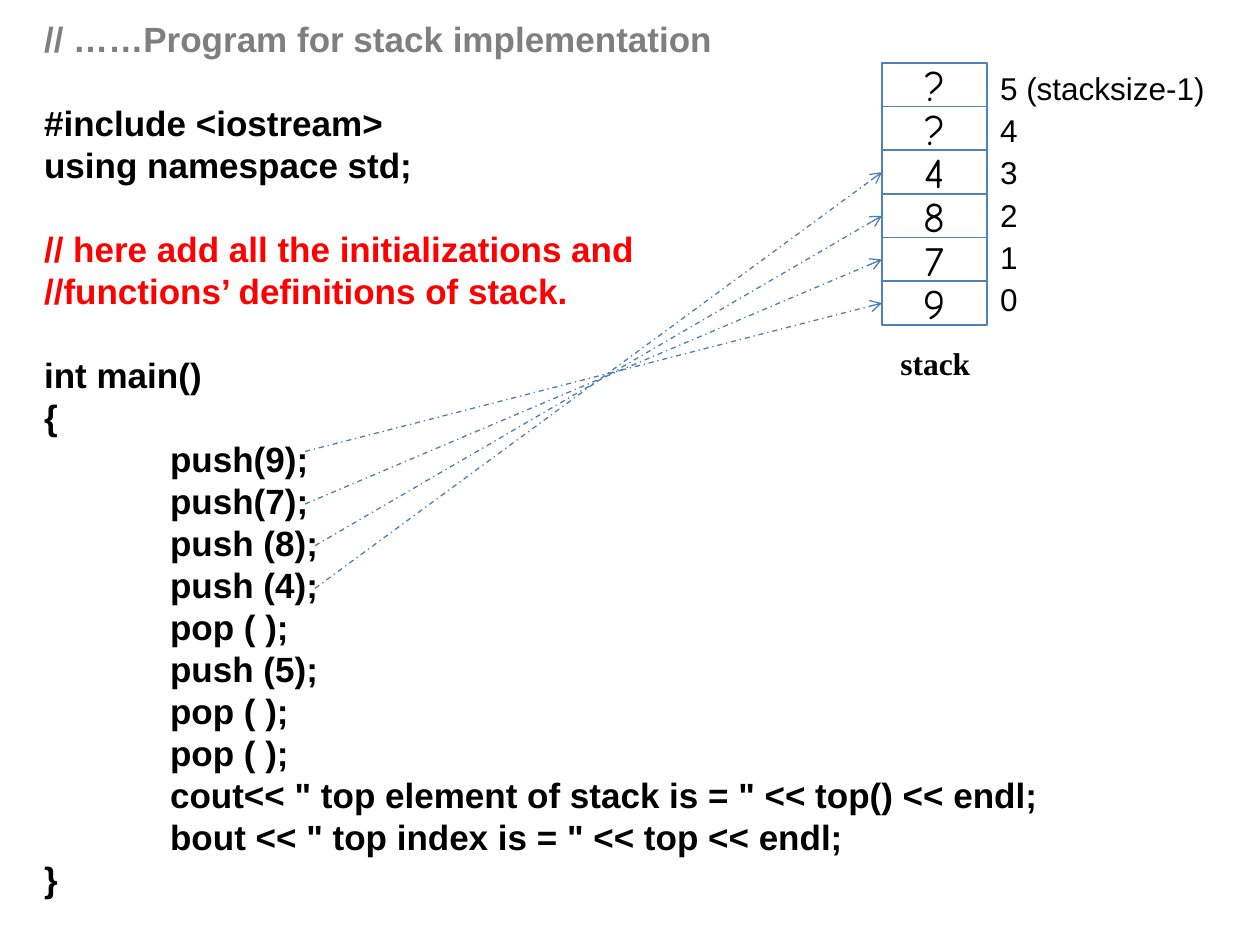
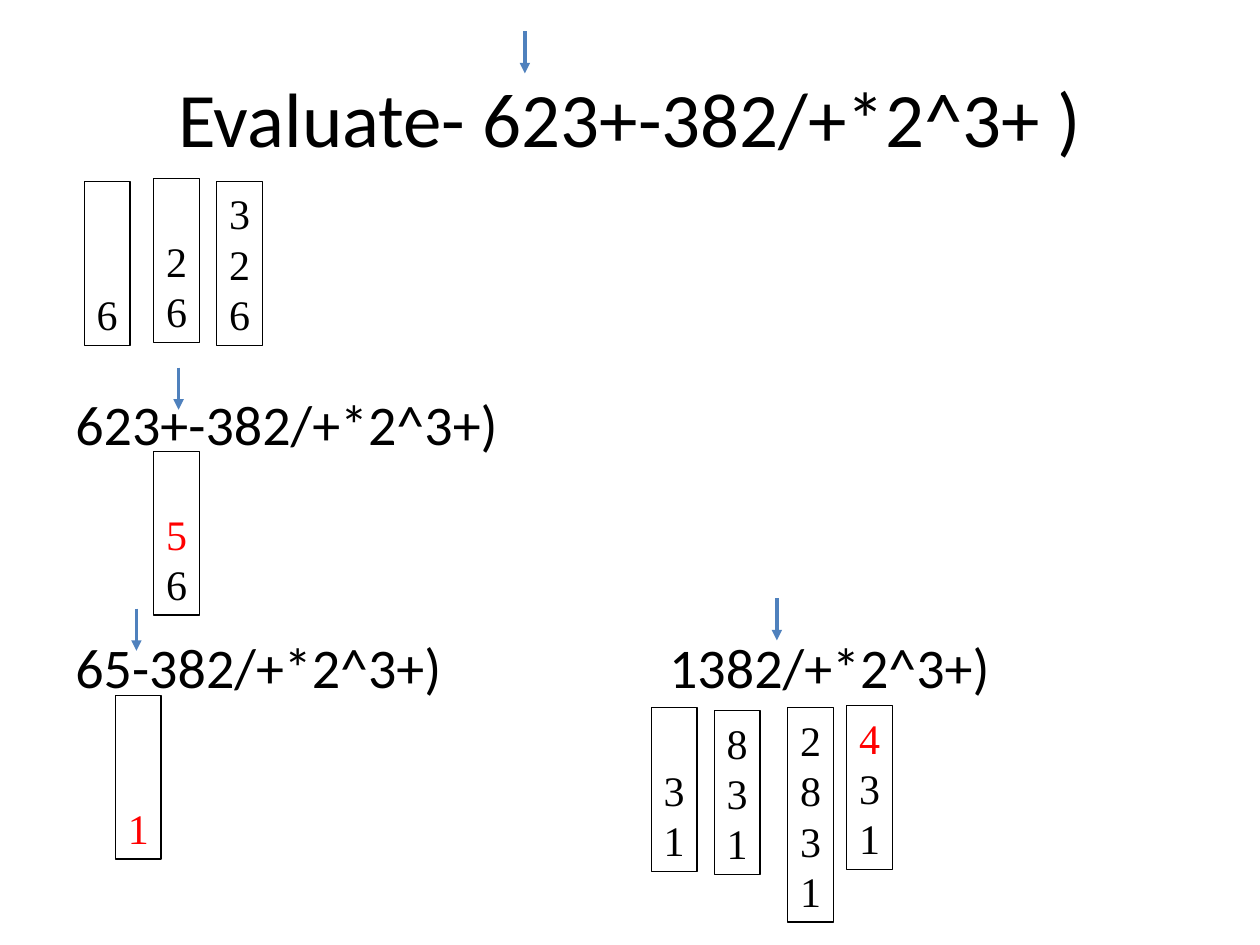
"""Build two slides: a stack program with its trace, and a postfix evaluation."""
from typing import NamedTuple

from lxml.etree import SubElement
from pptx import Presentation
from pptx.dml.color import RGBColor
from pptx.enum.dml import MSO_LINE_DASH_STYLE as DASH
from pptx.enum.shapes import MSO_CONNECTOR as CONN, MSO_SHAPE as SHAPE
from pptx.enum.text import MSO_ANCHOR as ANCHOR, PP_ALIGN as ALIGN
from pptx.oxml.ns import qn
from pptx.util import Cm, Pt

COLORS = {
    "text": "000000", "comment": "7F7F7F", "accent": "FF0000",
    "cell": "FFFFFF", "edge": "4F81BD", "trace": "4A7EBB",
}
LEADING = 1.2


class Style(NamedTuple):
    font: str
    size: int
    bold: bool = False


class Line(NamedTuple):
    text: str
    color: str = "text"
    before: float = 0
    indent: float = 0


class Box(NamedTuple):
    x: float
    y: float
    w: float
    h: float


class Arrow(NamedTuple):
    x1: float
    y1: float
    x2: float
    y2: float


class Stack(NamedTuple):
    x: float
    y: float
    values: str
    has_result: bool = False
    h: float = 3.3


CODE = Style("Arial", 20, True)
INDEX = Style("Arial", 18)
CAPTION = Style("Times New Roman", 18, True)
CELL = Style("Comic Neue", 24)
TITLE = Style("Calibri", 44)
BODY = Style("Calibri", 32)
VALUE = Style("Times New Roman", 24)

GAP = CODE.size * LEADING
STATEMENTS = [
    "push(9);", "push(7);", "push (8);", "push (4);", "pop ( );",
    "push (5);", "pop ( );", "pop ( );",
    'cout<< " top element of stack is = " << top() << endl;',
    'bout << " top index is = " << top << endl;',
]
PROGRAM = [
    Line("// ……Program for stack implementation", "comment"),
    Line("#include <iostream>", before=GAP),
    Line("using namespace std;"),
    Line("// here add all the initializations and", "accent", GAP),
    Line("//functions’ definitions of stack.", "accent"),
    Line("int main()", before=GAP),
    Line("{"),
    *(Line(statement, indent=2.54) for statement in STATEMENTS),
    Line("}"),
]

CELL_VALUES = "??4879"
CELL_X, CELL_Y, CELL_W, CELL_H = 17.78, 1.27, 2.12, 0.88
INDEX_X, INDEX_W, INDEX_STEP = 19.91, 5.2, 0.85
PUSH_ENDS = [(6.15, 9.1), (6.15, 10.16), (6.35, 11), (6.35, 11.86)]

STACKS = [
    Stack(1.7, 3.66, "6"), Stack(3.1, 3.6, "26"), Stack(4.37, 3.66, "326"),
    Stack(3.1, 9.1, "56", True), Stack(2.33, 14.02, "1", True),
    Stack(13.13, 14.27, "31"), Stack(14.4, 14.33, "831"),
    Stack(15.88, 14.27, "2831", h=4.32), Stack(17.07, 14.23, "431", True),
]
STACK_W = 0.92
POINTERS = [(10.58, 0.63), (3.6, 7.41), (2.75, 12.27), (15.66, 12.06)]
POINTER_LENGTH = 0.85
TAB_X = 11.97


def color(name: str) -> RGBColor:
    """Return the named colour."""
    return RGBColor.from_string(COLORS[name])


def write(tf, lines: list[Line], style: Style, align=ALIGN.LEFT,
          anchor=ANCHOR.TOP, wrap: bool = True) -> None:
    """Fill a text frame with one paragraph for each line."""
    tf.word_wrap = wrap
    tf.vertical_anchor = anchor
    for i, line in enumerate(lines):
        p = tf.add_paragraph() if i else tf.paragraphs[0]
        p.alignment = align
        p.line_spacing = Pt(style.size * LEADING)
        p.space_before = Pt(line.before)
        if line.indent:
            p._p.get_or_add_pPr().set("marL", str(Cm(line.indent)))
        r = p.add_run()
        r.text = line.text
        r.font.name = style.font
        r.font.size = Pt(style.size)
        r.font.bold = style.bold
        r.font.color.rgb = color(line.color)


def add_text(s, box: Box, lines: list[Line], style: Style, **layout):
    """Add a text box and return its frame."""
    tf = s.shapes.add_textbox(*map(Cm, box)).text_frame
    write(tf, lines, style, **layout)
    return tf


def add_box(s, box: Box, lines: list[Line], style: Style, edge: str,
            width: float, fill: str = "", **layout) -> None:
    """Add an outlined rectangle holding text."""
    sp = s.shapes.add_shape(SHAPE.RECTANGLE, *map(Cm, box))
    sp.shadow.inherit = False
    if fill:
        sp.fill.solid()
        sp.fill.fore_color.rgb = color(fill)
    else:
        sp.fill.background()
    sp.line.color.rgb = color(edge)
    sp.line.width = Pt(width)
    write(sp.text_frame, lines, style, wrap=False, **layout)


def add_arrow(s, arrow: Arrow, edge: str, width: float, head: str,
              dash=None) -> None:
    """Add a straight arrow without a shadow."""
    sp = s.shapes.add_connector(CONN.STRAIGHT, *map(Cm, arrow))
    sp.line.color.rgb = color(edge)
    sp.line.width = Pt(width)
    if dash:
        sp.line.dash_style = dash
    SubElement(sp.line._get_or_add_ln(), qn("a:tailEnd"), type=head)
    SubElement(sp._element.spPr, qn("a:effectLst"))


def build_program(s) -> None:
    """Draw the program, the stack and the trace of each push."""
    add_text(s, Box(0.64, 0.22, 23.5, 18.06), PROGRAM, CODE)
    add_text(s, Box(17.9, 6.81, 2.8, 1.02), [Line("stack")], CAPTION)
    top_index = len(CELL_VALUES) - 1
    for row, value in enumerate(CELL_VALUES):
        add_box(s, Box(CELL_X, CELL_Y + row * CELL_H, CELL_W, CELL_H),
                [Line(value)], CELL, "edge", 1, "cell",
                align=ALIGN.CENTER, anchor=ANCHOR.MIDDLE)
        label = str(top_index - row) if row else f"{top_index} (stacksize-1)"
        add_text(s, Box(INDEX_X, CELL_Y + row * INDEX_STEP, INDEX_W, 1.02),
                 [Line(label)], INDEX)
    for index, (x, y) in enumerate(PUSH_ENDS):
        middle = CELL_Y + (top_index - index + 0.5) * CELL_H
        add_arrow(s, Arrow(x, y, CELL_X, middle), "trace", 0.75, "arrow", DASH.DASH_DOT)


def build_evaluation(s) -> None:
    """Draw the postfix expression, its reductions and the stack states."""
    add_text(s, Box(1.27, 0.76, 22.86, 3.18), [Line("Evaluate- 623+-382/+*2^3+ )")],
             TITLE, align=ALIGN.CENTER, anchor=ANCHOR.MIDDLE)
    tf = add_text(s, Box(1.27, 7.72, 23.29, 11),
                  [Line("623+-382/+*2^3+)"),
                   Line("65-382/+*2^3+)\t1382/+*2^3+)", before=100.5)], BODY)
    tabs = SubElement(tf.paragraphs[1]._p.get_or_add_pPr(), qn("a:tabLst"))
    SubElement(tabs, qn("a:tab"), pos=str(Cm(TAB_X)), algn="l")
    for stack in STACKS:
        lines = [Line(value, "accent" if stack.has_result and i == 0 else "text")
                 for i, value in enumerate(stack.values)]
        add_box(s, Box(stack.x, stack.y, STACK_W, stack.h), lines, VALUE,
                "text", 0.75, anchor=ANCHOR.BOTTOM)
    for x, y in POINTERS:
        add_arrow(s, Arrow(x, y, x, y + POINTER_LENGTH), "edge", 2, "triangle")


def main() -> None:
    """Build and save the presentation."""
    prs = Presentation()
    prs.slide_width, prs.slide_height = Cm(25.4), Cm(19.05)
    for build in (build_program, build_evaluation):
        build(prs.slides.add_slide(prs.slide_layouts[6]))
    prs.save("out.pptx")


if __name__ == "__main__":
    main()
